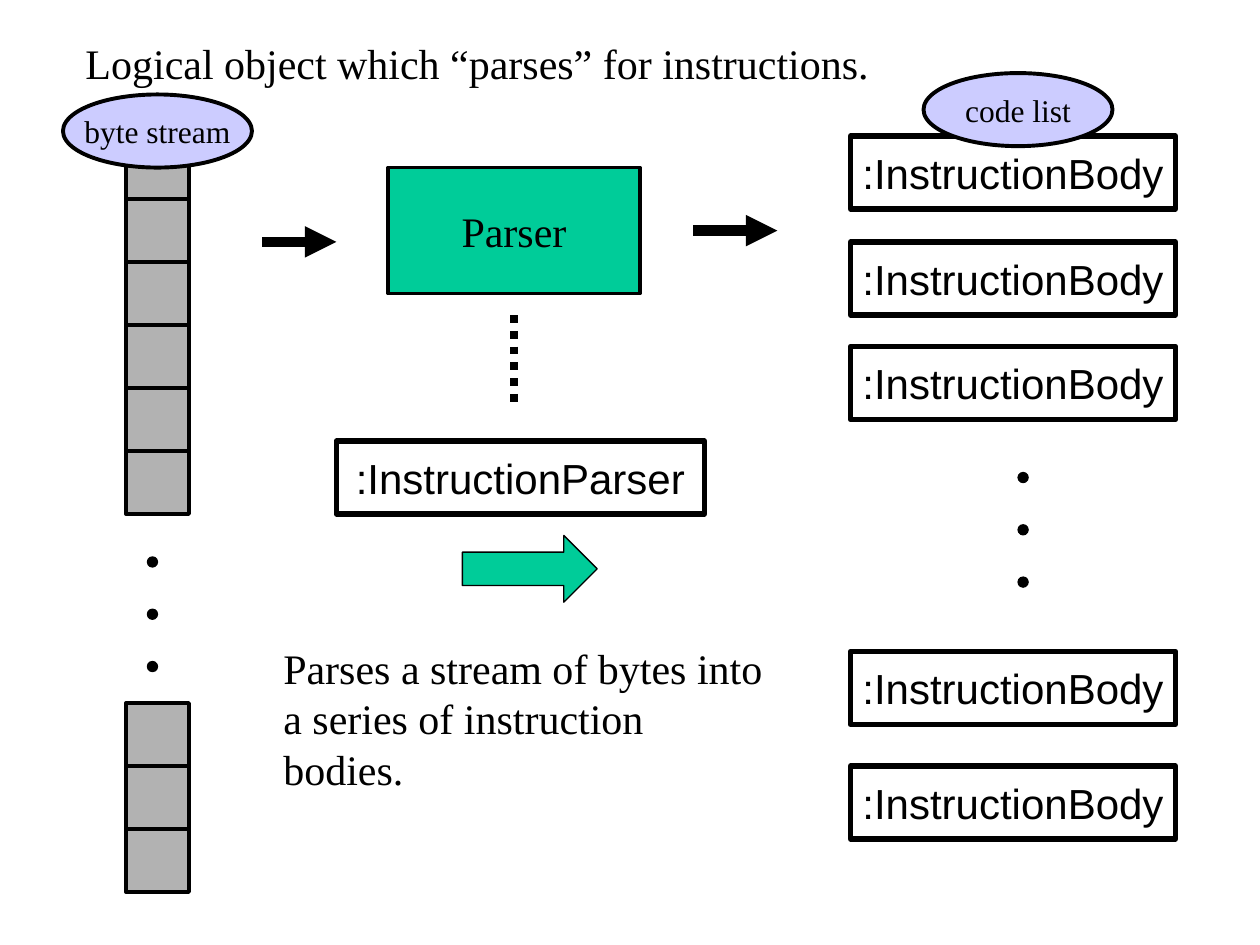
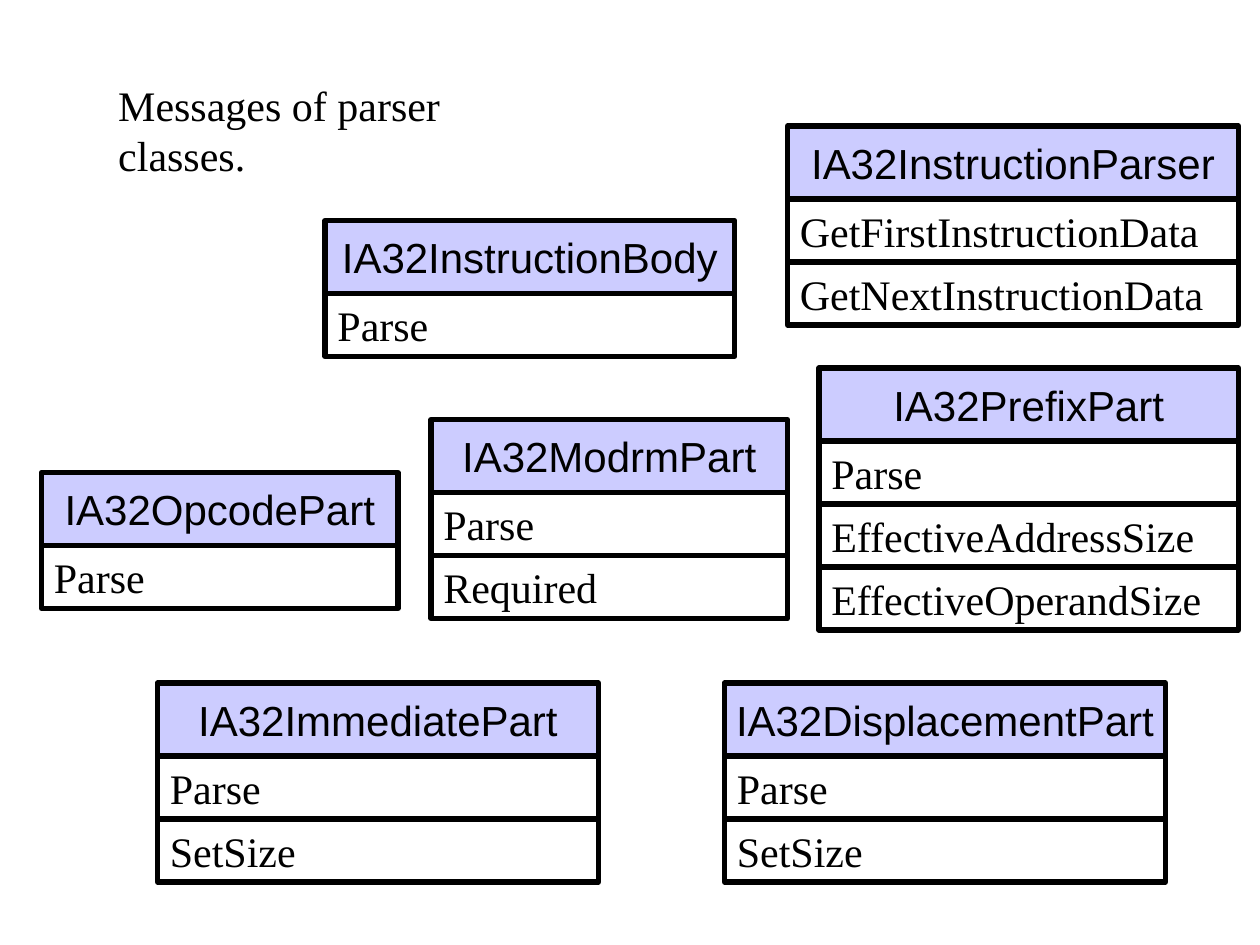
from lxml import etree
from pptx import Presentation
from pptx.dml.color import RGBColor
from pptx.enum import dml, shapes, text
from pptx.oxml.ns import qn
from pptx.util import Inches, Pt

BLACK, WHITE, GREY = "000000", "FFFFFF", "B2B2B2"
GREEN, LILAC = "00CC99", "CCCCFF"
SANS, SERIF = "Arial", "Times New Roman"
SHAPE = shapes.MSO_SHAPE
LEFT, CENTER = text.PP_ALIGN.LEFT, text.PP_ALIGN.CENTER
HEAD_H, ROW_H = 0.58, 0.5


def color(hex_string):
    return RGBColor.from_string(hex_string)


def write(sp, lines, font, size, align, wrap=False):
    tf = sp.text_frame
    tf.word_wrap = wrap
    tf.text = "\n".join(lines)
    for p in tf.paragraphs:
        p.alignment = align
        p.font.name, p.font.size = font, Pt(size)
        p.font.color.rgb = color(BLACK)


def add_text(slide, x, y, w, h, *lines):
    write(slide.shapes.add_textbox(Inches(x), Inches(y), Inches(w), Inches(h)),
          lines, SERIF, 24, LEFT)


def add_shape(slide, kind, x, y, w, h, fill, line=2.25, label=None,
              font=SERIF, size=24, align=CENTER):
    sp = slide.shapes.add_shape(kind, Inches(x), Inches(y), Inches(w), Inches(h))
    sp.shadow.inherit = False
    sp.fill.solid()
    sp.fill.fore_color.rgb = color(fill)
    sp.line.color.rgb = color(BLACK)
    sp.line.width = Pt(line)
    if label:
        write(sp, [label], font, size, align)
    return sp


def add_line(slide, x1, y1, x2, y2, width, arrow=False, dash=None):
    cxn = slide.shapes.add_connector(shapes.MSO_CONNECTOR.STRAIGHT, Inches(x1),
                                     Inches(y1), Inches(x2), Inches(y2))
    cxn.line.color.rgb = color(BLACK)
    cxn.line.width = Pt(width)
    if dash:
        cxn.line.dash_style = dash
    if arrow:
        etree.SubElement(cxn.line._get_or_add_ln(), qn("a:tailEnd"), type="triangle")
    etree.SubElement(cxn._element.spPr, qn("a:effectLst"))


def name_box(slide, x, y, w, label, fill=WHITE):
    add_shape(slide, SHAPE.RECTANGLE, x, y, w, HEAD_H, fill, 3, label, SANS)


def caption_oval(slide, x, y, label):
    add_shape(slide, SHAPE.OVAL, x, y, 1.5, 0.58, LILAC, label=label, size=18)


def ellipsis_dots(slide, x, y):
    for i in range(3):
        add_shape(slide, SHAPE.OVAL, x, y + i * 0.415, 0.08, 0.08, BLACK, 0.75)


def byte_stream(slide, x, y):
    # Two runs of square cells with dots between them
    cell = 0.5
    for top, count in ((0.33, 6), (4.83, 3)):
        for i in range(count):
            add_shape(slide, SHAPE.RECTANGLE, x + 0.5, y + top + i * cell,
                      cell, cell, GREY)
    ellipsis_dots(slide, x + 0.67, y + 3.67)
    caption_oval(slide, x, y, "byte stream")


def code_list(slide, x, y):
    for top in (0.5, 1.34, 2.17, 4.59, 5.5):
        name_box(slide, x, y + top, 2.58, ":InstructionBody")
    ellipsis_dots(slide, x + 1.33, y + 3.17)
    caption_oval(slide, x + 0.58, y, "code list")


def parser_column(slide, x, y):
    add_shape(slide, SHAPE.RECTANGLE, x + 0.93, y, 2, 1, GREEN, label="Parser")
    add_line(slide, x + 1.93, y + 1.17, x + 1.93, y + 1.92, 4.5,
             dash=dml.MSO_LINE.ROUND_DOT)
    name_box(slide, x + 0.52, y + 2.17, 2.92, ":InstructionParser")
    add_shape(slide, SHAPE.RIGHT_ARROW, x + 1.52, y + 2.92, 1.07, 0.53, GREEN, 0.75)
    add_text(slide, x, y + 3.72, 4.09, 0.9, "Parses a stream of bytes into",
             "a series of instruction bodies.")


def parsing_slide(slide):
    add_text(slide, 0.58, 0.25, 6.42, 0.5,
             "Logical object which “parses” for instructions.")
    byte_stream(slide, 0.5, 0.75)
    parser_column(slide, 2.15, 1.33)
    code_list(slide, 6.75, 0.58)
    # Flow from bytes through the parser to the code list
    add_line(slide, 2.08, 1.92, 2.67, 1.92, 6, arrow=True)
    add_line(slide, 5.5, 1.83, 6.17, 1.83, 6, arrow=True)


def class_box(slide, x, y, w, name, messages):
    name_box(slide, x, y, w, name, LILAC)
    for i, message in enumerate(messages):
        add_shape(slide, SHAPE.RECTANGLE, x, y + HEAD_H + i * ROW_H, w, ROW_H,
                  WHITE, 3, message, align=LEFT)


CLASSES = [
    (6.25, 1, 3.58, "IA32InstructionParser",
     ["GetFirstInstructionData", "GetNextInstructionData"]),
    (2.58, 1.75, 3.25, "IA32InstructionBody", ["Parse"]),
    (3.42, 3.33, 2.83, "IA32ModrmPart", ["Parse", "Required"]),
    (0.33, 3.75, 2.83, "IA32OpcodePart", ["Parse"]),
    (6.5, 2.92, 3.33, "IA32PrefixPart",
     ["Parse", "EffectiveAddressSize", "EffectiveOperandSize"]),
    (5.75, 5.42, 3.5, "IA32DisplacementPart", ["Parse", "SetSize"]),
    (1.25, 5.42, 3.5, "IA32ImmediatePart", ["Parse", "SetSize"]),
]


def messages_slide(slide):
    add_text(slide, 0.84, 0.58, 3.84, 0.5, "Messages of parser classes.")
    for entry in CLASSES:
        class_box(slide, *entry)


def main():
    prs = Presentation()
    prs.slide_width, prs.slide_height = Inches(10), Inches(7.5)
    for build in (parsing_slide, messages_slide):
        build(prs.slides.add_slide(prs.slide_layouts[6]))
    prs.save("out.pptx")


if __name__ == "__main__":
    main()
